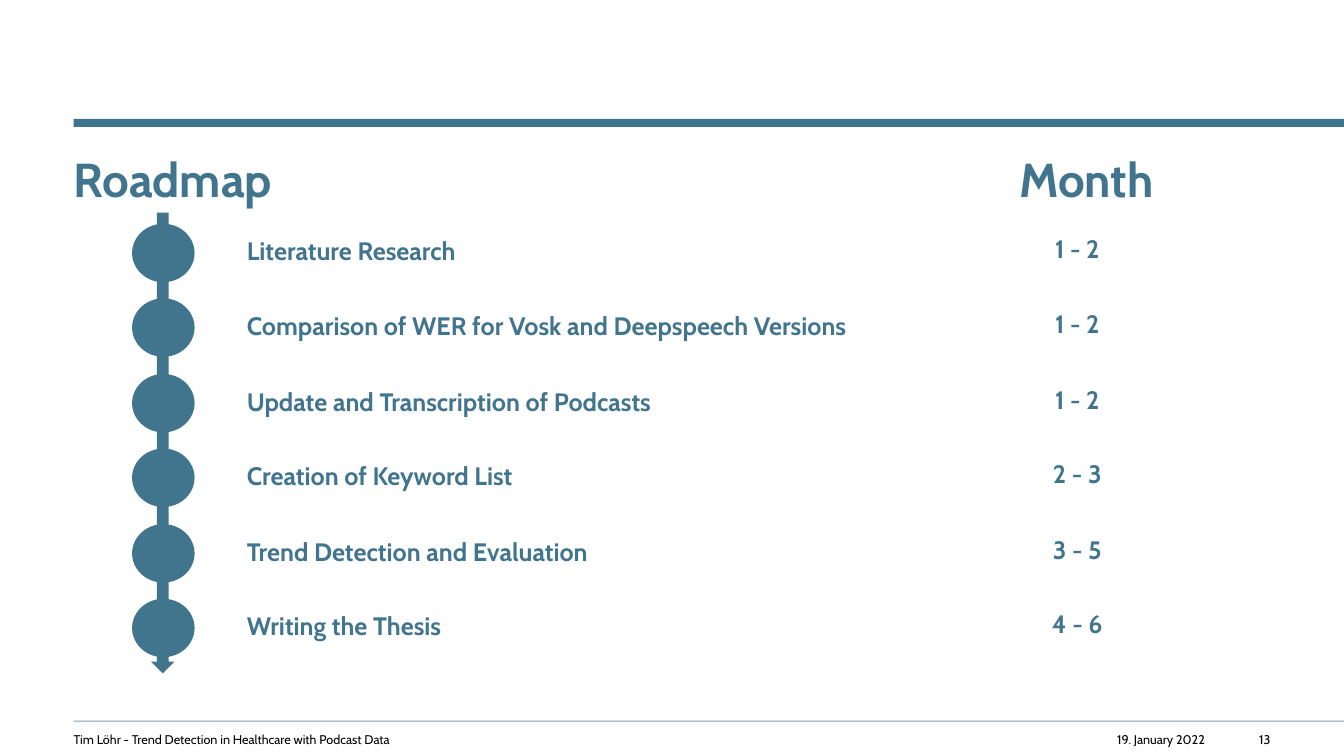
import pptx
import pptx.util
import pptx.dml.color
import pptx.enum.shapes
import pptx.enum.text
import lxml.etree

PX = 9144  # EMU per px, 100 px to the inch
FONT = "Cabin"
BLUE, PALE, BLACK = "41748D", "779FB5", "000000"
SHAPE = pptx.enum.shapes.MSO_SHAPE
ALIGN = pptx.enum.text.PP_ALIGN
LEFT, MID, RIGHT = ALIGN.LEFT, ALIGN.CENTER, ALIGN.RIGHT

STEPS = [
    ("Literature Research", "1 - 2"),
    ("Comparison of WER for Vosk and Deepspeech Versions", "1 - 2"),
    ("Update and Transcription of Podcasts", "1 - 2"),
    ("Creation of Keyword List", "2 - 3"),
    ("Trend Detection and Evaluation", "3 - 5"),
    ("Writing the Thesis", "4 - 6"),
]


def paint(code):
    return pptx.dml.color.RGBColor.from_string(code)


def scale(*box):
    return [pptx.util.Emu(v * PX) for v in box]


def add_form(slide, kind, box, color):
    form = slide.shapes.add_shape(kind, *scale(*box))
    form.shadow.inherit = False
    form.fill.solid()
    form.fill.fore_color.rgb = paint(color)
    form.line.fill.background()
    return form


def add_text(slide, box, text, size, color, bold=False, align=LEFT,
             pad=(0, 0), tab=None):
    frame = slide.shapes.add_textbox(*scale(*box)).text_frame
    frame.word_wrap = True
    frame.margin_left, frame.margin_top = scale(*pad)
    frame.margin_right, frame.margin_bottom = scale(*pad)
    frame.text = text
    para = frame.paragraphs[0]
    para.alignment = align
    if tab:
        props = para._p.get_or_add_pPr()
        stops = lxml.etree.SubElement(props, pptx.oxml.ns.qn("a:tabLst"))
        stop = lxml.etree.SubElement(stops, pptx.oxml.ns.qn("a:tab"))
        stop.set("pos", str(tab * PX))
        stop.set("algn", "l")
    for run in para.runs:
        run.font.name = FONT
        run.font.size = pptx.util.Pt(size)
        run.font.bold = bold
        run.font.color.rgb = paint(color)


def add_head(slide, x, y, w, h):
    # Thick rule across to the slide edge, then the two column titles
    add_form(slide, SHAPE.RECTANGLE, (x, y, w, 8), BLUE)
    add_text(slide, (x, y + 31, w - 73, h - 31), "Roadmap\tMonth", 34, BLUE,
             bold=True, tab=938)


def add_road(slide, x, y, w, h):
    pad = (10, 5)
    for i, (task, month) in enumerate(STEPS):
        top = y + h * i // len(STEPS)
        # Stop on the road, its task and its months
        add_form(slide, SHAPE.OVAL, (x, top, 62, 58), BLUE)
        add_text(slide, (x + 104, top + 7, 669, 40), task, 18, BLUE,
                 bold=True, pad=pad)
        add_text(slide, (x + w - 237, top + 5, 237, 40), month, 18, BLUE,
                 bold=True, align=MID, pad=pad)
    # Arrow through all stops
    add_form(slide, SHAPE.DOWN_ARROW, (x + 19, y - 11, 23, h + 10), BLUE)


def add_foot(slide, x, y, w):
    add_form(slide, SHAPE.RECTANGLE, (x, y, w, 1), PALE)
    parts = [
        (0, 892, "Tim Löhr - Trend Detection in Healthcare with Podcast Data",
         LEFT),
        (965, 157, "19. January 2022", RIGHT),
        (1132, 55, "13", RIGHT),
    ]
    for left, wide, text, align in parts:
        add_text(slide, (x + left, y + 11, wide, 21), text, 9, BLACK,
                 align=align)


def main():
    deck = pptx.Presentation()
    deck.slide_width, deck.slide_height = scale(1333, 750)
    slide = deck.slides.add_slide(deck.slide_layouts[6])
    add_head(slide, 73, 118, 1260, 113)
    add_road(slide, 131, 222, 1056, 447)
    add_foot(slide, 73, 715, 1260)
    deck.save("out.pptx")


if __name__ == "__main__":
    main()
